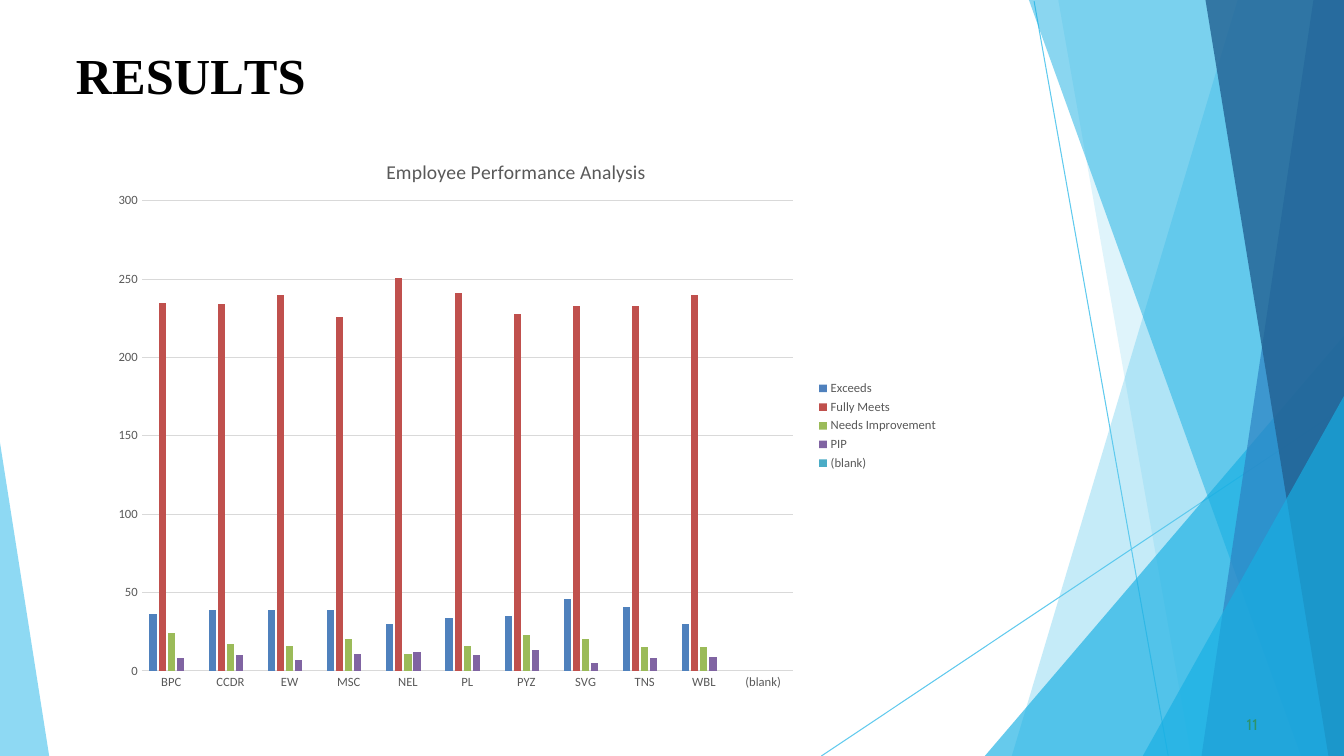
from dataclasses import dataclass

from lxml import etree
from pptx import Presentation
from pptx.chart.data import CategoryChartData
from pptx.dml.color import RGBColor
from pptx.enum.chart import XL_CHART_TYPE, XL_LEGEND_POSITION, XL_TICK_MARK
from pptx.enum.shapes import MSO_CONNECTOR
from pptx.enum.text import MSO_ANCHOR, MSO_AUTO_SIZE, PP_ALIGN
from pptx.oxml.ns import qn
from pptx.util import Cm, Pt

CLUSTERED = XL_CHART_TYPE.COLUMN_CLUSTERED
LEGEND_RIGHT = XL_LEGEND_POSITION.RIGHT
NO_TICK = XL_TICK_MARK.NONE
STRAIGHT = MSO_CONNECTOR.STRAIGHT
TOP = MSO_ANCHOR.TOP
FIT_SHAPE = MSO_AUTO_SIZE.SHAPE_TO_FIT_TEXT
LEFT = PP_ALIGN.LEFT


@dataclass(frozen=True)
class Theme:
    sky: str = "5FCAEE"
    cyan: str = "17AFE3"
    blue: str = "2D83C3"
    navy: str = "226192"
    black: str = "000000"
    green: str = "2D936B"
    grey: str = "595959"
    rule: str = "D9D9D9"
    heading_size: int = 36
    chart_title_size: int = 14
    page_size: int = 11
    chart_size: int = 10
    label_size: int = 9
    heading_font: str = "Times New Roman"
    page_font: str = "Cabin"
    chart_font: str = "Calibri"


theme = Theme()


def style_font(font, name, size, color, bold=False):
    font.name = name
    font.size = Pt(size)
    font.bold = bold
    font.color.rgb = RGBColor.from_string(color)


def prepare_frame(frame, space_before):
    frame.margin_left = frame.margin_right = frame.margin_bottom = 0
    frame.margin_top = Cm(0.03)
    frame.word_wrap = True
    frame.vertical_anchor = TOP
    frame.auto_size = FIT_SHAPE
    paragraph = frame.paragraphs[0]
    paragraph.alignment = LEFT
    paragraph.space_before = Pt(space_before)
    return paragraph


RIGHT, BOTTOM = 33.87, 19.05
deck = Presentation()
deck.slide_width, deck.slide_height = Cm(RIGHT), Cm(BOTTOM)
slide = deck.slides.add_slide(deck.slide_layouts[5])

for x1, y1, x2, y2 in [(26.06, 0.03, 29.44, BOTTOM), (RIGHT, 10.26, 20.7, BOTTOM)]:
    ray = slide.shapes.add_connector(STRAIGHT, Cm(x1), Cm(y1), Cm(x2), Cm(y2))
    ray.line.color.rgb = RGBColor.from_string(theme.sky)
    ray.line.width = Pt(0.75)
    etree.SubElement(ray._element.spPr, qn("a:effectLst"))

top_right, bottom_right = (RIGHT, 0), (RIGHT, BOTTOM)
facets = [
    ([top_right, (31.19, 0), (25.5, BOTTOM), bottom_right], theme.sky, 36),
    ([top_right, (26.67, 0), (30.02, BOTTOM), bottom_right], theme.sky, 20),
    ([(RIGHT, 8.46), (24.82, BOTTOM), bottom_right], theme.cyan, 66),
    ([top_right, (25.93, 0), (32.79, BOTTOM), bottom_right], theme.cyan, 50),
    ([top_right, (33.1, 0), (30.28, BOTTOM), bottom_right], theme.blue, 70),
    ([top_right, (30.38, 0), (33.48, BOTTOM), bottom_right], theme.navy, 80),
    ([(RIGHT, 9.98), (28.8, BOTTOM), bottom_right], theme.cyan, 66),
    ([(0, 11.15), (0, BOTTOM), (1.24, BOTTOM)], theme.sky, 70),
]
for corners, color, opacity in facets:
    points = [(Cm(x), Cm(y)) for x, y in corners]
    outline = slide.shapes.build_freeform(*points[0])
    outline.add_line_segments(points[1:], close=True)
    facet = outline.convert_to_shape()
    facet.shadow.inherit = False
    facet.line.fill.background()
    facet.fill.solid()
    facet.fill.fore_color.rgb = RGBColor.from_string(color)
    tint = facet._element.spPr.find(".//" + qn("a:srgbClr"))
    etree.SubElement(tint, qn("a:alpha"), val=str(opacity * 1000))

heading = slide.shapes.title
heading.left, heading.top, heading.width, heading.height = Cm(1.91), Cm(1.07), Cm(7.6), Cm(1.57)
heading_line = prepare_frame(heading.text_frame, 1.1)
for letters, spacing in [("R", 0), ("E", -40), ("S", 10), ("U", -30), ("L", -400), ("TS", 0)]:
    run = heading_line.add_run()
    run.text = letters
    style_font(run.font, theme.heading_font, theme.heading_size, theme.black, True)
    run.font._element.set("spc", str(spacing))

page_number = slide.shapes.add_textbox(Cm(31.32), Cm(17.98), Cm(0.64), Cm(0.53))
page_line = prepare_frame(page_number.text_frame, 0.6)
page_number.text_frame.margin_left = Cm(0.1)
run = page_line.add_run()
run.text = "11"
style_font(run.font, theme.page_font, theme.page_size, theme.green)
run.font._element.set("spc", "10")

ratings = [
    ("Exceeds", [36, 39, 39, 39, 30, 34, 35, 46, 41, 30, None], "4F81BD"),
    ("Fully Meets", [235, 234, 240, 226, 251, 241, 228, 233, 233, 240, None], "C0504D"),
    ("Needs Improvement", [24, 17, 16, 20, 11, 16, 23, 20, 15, 15, None], "9BBB59"),
    ("PIP", [8, 10, 7, 11, 12, 10, 13, 5, 8, 9, None], "8064A2"),
    ("(blank)", [None] * 11, "4BACC6"),
]
performance = CategoryChartData()
performance.categories = ["BPC", "CCDR", "EW", "MSC", "NEL", "PL", "PYZ", "SVG", "TNS", "WBL", "(blank)"]
for rating, counts, color in ratings:
    performance.add_series(rating, counts)

chart = slide.shapes.add_chart(CLUSTERED, Cm(2.11), Cm(3.48), Cm(21.79), Cm(14.5), performance).chart
style_font(chart.font, theme.chart_font, theme.chart_size, theme.black)
chart.has_title = True
chart_title = chart.chart_title.text_frame.paragraphs[0].add_run()
chart_title.text = "Employee Performance Analysis"
style_font(chart_title.font, theme.chart_font, theme.chart_title_size, theme.grey)
chart.has_legend = True
chart.legend.position = LEGEND_RIGHT
chart.legend.include_in_layout = False
style_font(chart.legend.font, theme.chart_font, theme.label_size, theme.grey)

columns = chart.plots[0]
columns.gap_width = 219
columns.overlap = -27
columns.vary_by_categories = False
for series, (rating, counts, color) in zip(columns.series, ratings):
    series.format.fill.solid()
    series.format.fill.fore_color.rgb = RGBColor.from_string(color)

departments, headcount = chart.category_axis, chart.value_axis
for axis in (departments, headcount):
    axis.major_tick_mark = axis.minor_tick_mark = NO_TICK
    style_font(axis.tick_labels.font, theme.chart_font, theme.label_size, theme.grey)
headcount.minimum_scale, headcount.maximum_scale, headcount.major_unit = 0, 300, 50
headcount.has_major_gridlines = True
headcount.format.line.fill.background()
for rule in (departments.format.line, headcount.major_gridlines.format.line):
    rule.color.rgb = RGBColor.from_string(theme.rule)
    rule.width = Pt(0.75)

plot_area = chart._chartSpace.find(".//" + qn("c:plotArea"))
for automatic in plot_area.findall(qn("c:layout")):
    plot_area.remove(automatic)
layout = etree.Element(qn("c:layout"))
plot_area.insert(0, layout)
manual = etree.SubElement(layout, qn("c:manualLayout"))
for tag, value in [("layoutTarget", "inner"), ("xMode", "edge"), ("yMode", "edge"),
                   ("x", "0.067"), ("y", "0.109"), ("w", "0.753"), ("h", "0.817")]:
    etree.SubElement(manual, qn("c:" + tag), val=value)

deck.save("out.pptx")
